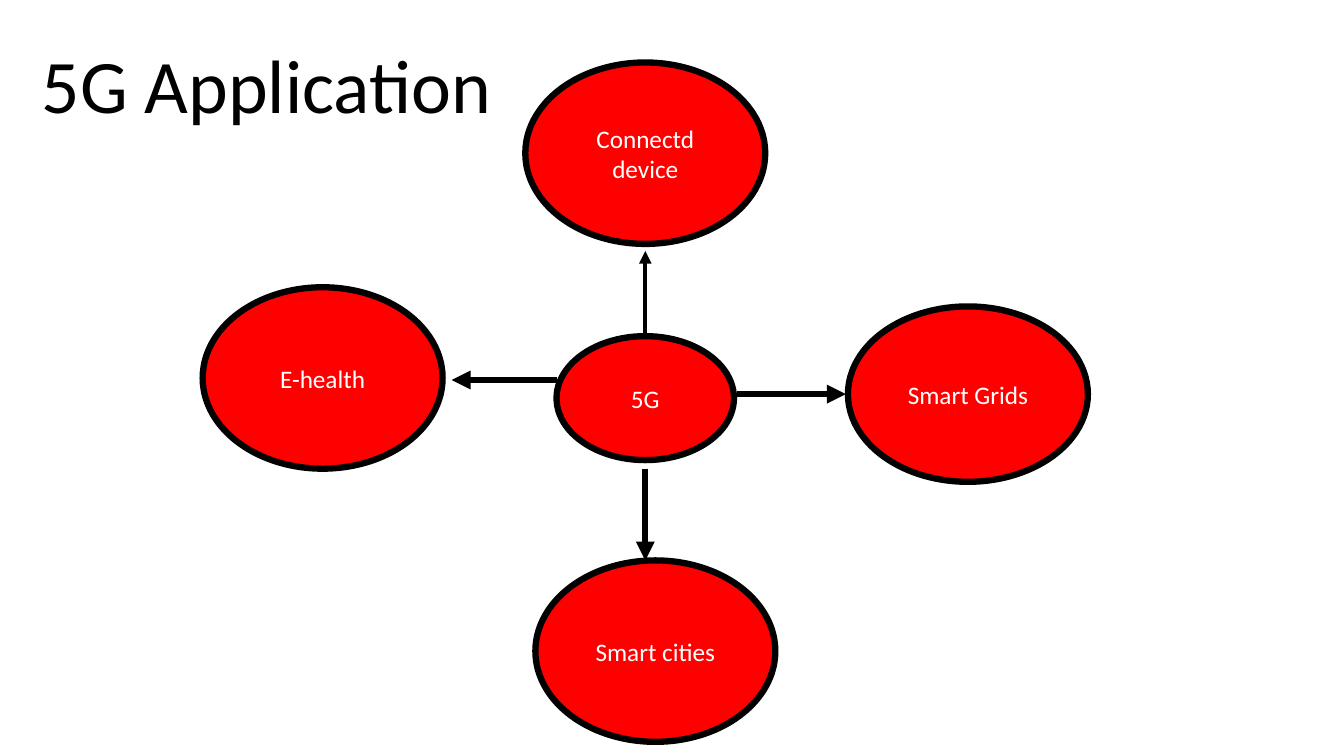
from pptx import Presentation
from pptx import util as u
from pptx.dml.color import RGBColor
from pptx.enum import shapes, text
from pptx.oxml.ns import qn
from lxml import etree

theme = dict(font="Calibri", fill="FF0000", ink="000000", pale="FFFFFF",
             title=54, label=18, thick=4.5, thin=3)
big, flat, core = (2.38, 1.8), (2.38, 1.74), (1.76, 1.23)
title = ("5G Application", (0.29, 0.33, 4.71, 1.01))
nodes = [
    ("Connectd device", (6.4, 1.52), big),
    ("E-health", (3.2, 3.75), big),
    ("Smart cities", (6.5, 6.46), big),
    ("Smart Grids", (9.6, 3.91), flat),
    ("5G", (6.4, 3.95), core),
]
arrows = [
    ((6.4, 3.33), (6.4, 2.49), "thin"),
    ((5.52, 3.77), (4.48, 3.77), "thick"),
    ((7.31, 3.91), (8.39, 3.91), "thick"),
    ((6.4, 4.65), (6.4, 5.56), "thick"),
]


def tint(name):
    return RGBColor.from_string(theme[name])


def inch(*vals):
    return [u.Inches(v) for v in vals]


def write(shape, words, size, color, **form):
    frame = shape.text_frame
    for key, val in form.items():
        setattr(frame, key, val)
    para = frame.paragraphs[0]
    para.alignment = text.PP_ALIGN.CENTER
    run = para.add_run()
    run.text = words
    look = dict(name=theme["font"], size=u.Pt(theme[size]))
    for key, val in look.items():
        setattr(run.font, key, val)
    run.font.color.rgb = tint(color)


def stroke(line, width):
    line.color.rgb = tint("ink")
    line.width = u.Pt(theme[width])


deck = Presentation()
deck.slide_width, deck.slide_height = inch(13.33, 7.5)
slide = deck.slides.add_slide(deck.slide_layouts[6])

for words, (x, y), (w, h) in nodes:
    oval = slide.shapes.add_shape(
        shapes.MSO_SHAPE.OVAL, *inch(x - w / 2, y - h / 2, w, h))
    oval.shadow.inherit = False
    oval.fill.solid()
    oval.fill.fore_color.rgb = tint("fill")
    stroke(oval.line, "thick")
    write(oval, words, "label", "pale", word_wrap=True,
          vertical_anchor=text.MSO_ANCHOR.MIDDLE)

for start, end, width in arrows:
    arrow = slide.shapes.add_connector(
        shapes.MSO_CONNECTOR.STRAIGHT, *inch(*start, *end))
    stroke(arrow.line, width)
    etree.SubElement(arrow.line._get_or_add_ln(), qn("a:tailEnd"),
                     type="triangle")
    etree.SubElement(arrow._element.spPr, qn("a:effectLst"))

words, box = title
head = slide.shapes.add_textbox(*inch(*box))
write(head, words, "title", "ink", word_wrap=False,
      auto_size=text.MSO_AUTO_SIZE.SHAPE_TO_FIT_TEXT)

deck.save("out.pptx")
